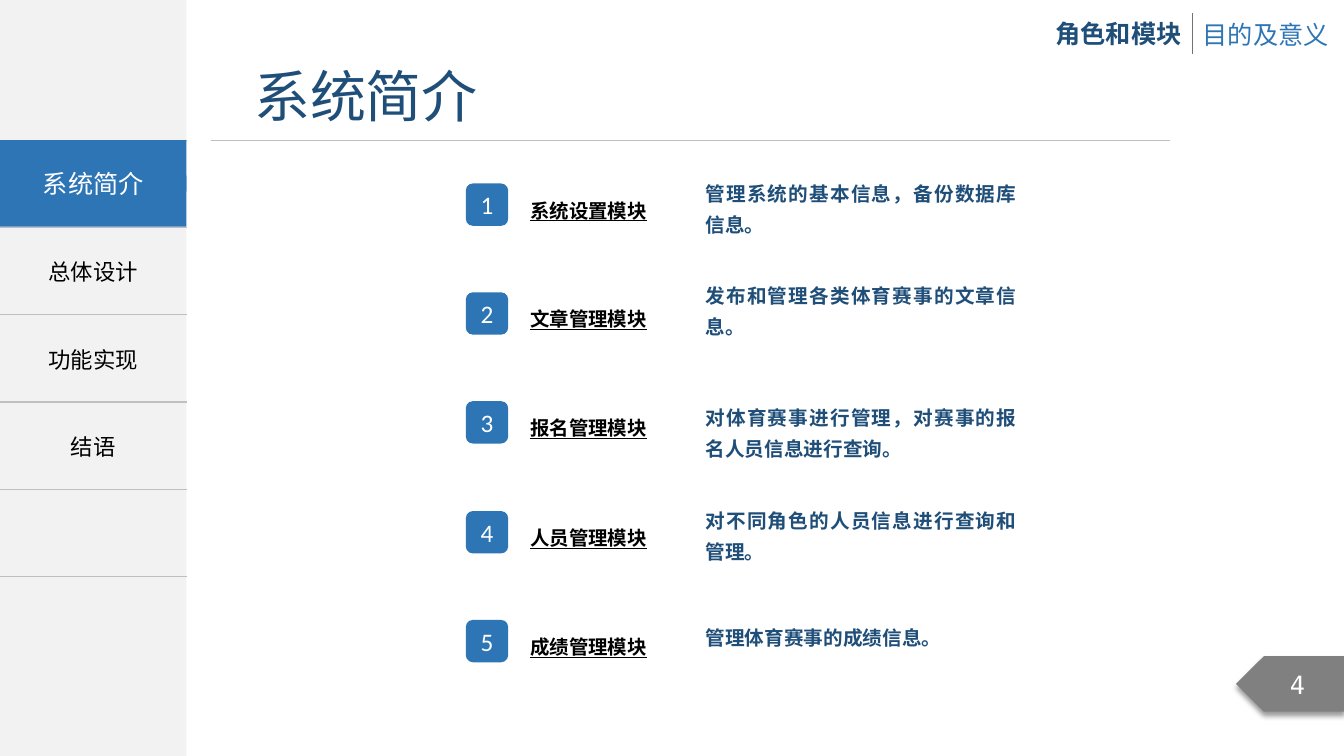
from lxml.etree import SubElement
from pptx import Presentation
from pptx.dml.color import RGBColor
from pptx.enum.shapes import MSO_CONNECTOR, MSO_SHAPE as SHAPE
from pptx.enum.text import MSO_ANCHOR as ANCHOR, MSO_AUTO_SIZE as AUTO, PP_ALIGN as ALIGN
from pptx.oxml import parse_xml
from pptx.oxml.ns import nsdecls, qn
from pptx.util import Pt

PX = 9144  # 100 px to the inch
CJK = "Noto Sans CJK SC"
NAVY = RGBColor(0x1F, 0x4E, 0x79)
BLUE = RGBColor(0x2E, 0x75, 0xB6)
PALE = RGBColor(0xF2, 0xF2, 0xF2)
GRAY = RGBColor(0x80, 0x80, 0x80)
DARK_GRAY = RGBColor(0x76, 0x71, 0x71)
SILVER = RGBColor(0xBF, 0xBF, 0xBF)
BLACK = RGBColor(0, 0, 0)
WHITE = RGBColor(255, 255, 255)


def write(tf, text, size, color, align=ALIGN.LEFT, anchor=ANCHOR.TOP, font=CJK, bold=False):
    tf.text = text
    tf.vertical_anchor = anchor
    p = tf.paragraphs[0]
    p.alignment = align
    f = p.font
    f.name, f.size, f.bold, f.color.rgb = font, Pt(size), bold, color
    SubElement(f._element, qn("a:ea"), typeface=font)
    return p


def add_block(kind, x, y, w, h, color):
    sp = s.shapes.add_shape(kind, x * PX, y * PX, w * PX, h * PX)
    sp.shadow.inherit = False
    sp.fill.solid()
    sp.fill.fore_color.rgb = color
    sp.line.fill.background()
    return sp


prs = Presentation()
prs.slide_width, prs.slide_height = 1333 * PX, 750 * PX
s = prs.slides.add_slide(prs.slide_layouts[5])

# Sidebar
add_block(SHAPE.RECTANGLE, 0, 0, 185, 750, PALE)

# Title
title = s.shapes.title
title.left, title.top, title.width, title.height = 242 * PX, 56 * PX, 245 * PX, 77 * PX
write(title.text_frame, "系统简介", 40, NAVY)
title.text_frame.word_wrap = False
title.text_frame.auto_size = AUTO.SHAPE_TO_FIT_TEXT

# Header labels
for text, x, y, color, bold in [("角色和模块", 1037, 13, NAVY, True),
                                ("目的及意义", 1183, 14, BLUE, False)]:
    tf = s.shapes.add_textbox(x * PX, y * PX, 146 * PX, 40 * PX).text_frame
    tf.word_wrap = False
    tf.auto_size = AUTO.SHAPE_TO_FIT_TEXT
    write(tf, text, 18, color, bold=bold)

# Rules under the title and between the header labels
for x1, y1, x2, y2, color in [(209, 139, 1160, 139, SILVER),
                              (1183, 13, 1183, 54, DARK_GRAY)]:
    rule = s.shapes.add_connector(MSO_CONNECTOR.STRAIGHT, x1 * PX, y1 * PX, x2 * PX, y2 * PX)
    rule.line.color.rgb = color
    rule.line.width = Pt(0.5)
    SubElement(rule._element.spPr, qn("a:effectLst"))

# Page number tag
tag = add_block(SHAPE.PENTAGON, 1226, 651, 108, 55, GRAY)
tag._element.spPr.xfrm.set("flipH", "1")
effects = tag._element.spPr.find(qn("a:effectLst"))
effects.append(parse_xml(
    f'<a:outerShdw {nsdecls("a")} blurRad="{Pt(4)}" dist="{Pt(3)}" dir="5400000" '
    'algn="t" rotWithShape="0"><a:srgbClr val="000000"><a:alpha val="40000"/>'
    '</a:srgbClr></a:outerShdw>'))
write(tag.text_frame, "4", 18, WHITE, ALIGN.CENTER, ANCHOR.MIDDLE, "DejaVu Sans Mono")

# Navigation table
sections = ["", "总体设计", "功能实现", "结语", ""]
table = s.shapes.add_table(len(sections), 1, 0, 139 * PX, 185 * PX, 433 * PX).table
table.first_row = table.horz_banding = False
style = table._tbl.tblPr.find(qn("a:tableStyleId"))
style.text = "{2D5ABB26-0587-4C30-8999-92F81FD0307C}"  # no style, no grid
for row, section in enumerate(sections):
    cell = table.cell(row, 0)
    cell.fill.background()
    cell.vertical_anchor = ANCHOR.MIDDLE
    if section:
        write(cell.text_frame, section, 16, BLACK, ALIGN.CENTER, ANCHOR.MIDDLE)
    for i, edge in enumerate(["lnT", "lnB"]):
        cell._tc.tcPr.insert(i, parse_xml(
            f'<a:{edge} {nsdecls("a")} w="{Pt(1)}"><a:solidFill>'
            f'<a:srgbClr val="{SILVER}"/></a:solidFill></a:{edge}>'))

# Current section
current = add_block(SHAPE.RECTANGLE, 0, 139, 185, 86, BLUE)
write(current.text_frame, "系统简介", 18, WHITE, ALIGN.CENTER, ANCHOR.MIDDLE)
pointer = add_block(SHAPE.ISOSCELES_TRIANGLE, 169, 174, 16, 16, BLUE)
pointer.rotation = 270

# Modules: name, description, top and height of the description
modules = [
    ("系统设置模块", "管理系统的基本信息，备份数据库信息。", 170, 67),
    ("文章管理模块", "发布和管理各类体育赛事的文章信息。", 271, 67),
    ("报名管理模块", "对体育赛事进行管理，对赛事的报名人员信息进行查询。", 392, 67),
    ("人员管理模块", "对不同角色的人员信息进行查询和管理。", 494, 67),
    ("成绩管理模块", "管理体育赛事的成绩信息。", 610, 37),
]
for i, (name, description, top, height) in enumerate(modules):
    y = 182 + round(i * 108.25)
    badge = add_block(SHAPE.ROUNDED_RECTANGLE, 462, y, 42, 42, BLUE)
    write(badge.text_frame, str(i + 1), 18, WHITE, ALIGN.CENTER, ANCHOR.MIDDLE, "Calibri")

    label = s.shapes.add_textbox(516 * PX, y * PX, 174 * PX, 27 * PX).text_frame
    label.word_wrap = True
    label.margin_top = label.margin_bottom = 0
    p = write(label, name, 24, BLACK, bold=True)
    p.font.underline = True
    p.font._element.set("baseline", "-3000")

    body = s.shapes.add_textbox(690 * PX, top * PX, 328 * PX, height * PX).text_frame
    body.word_wrap = True
    body.margin_top = body.margin_bottom = 4 * PX
    p = write(body, description, 14, NAVY, ALIGN.JUSTIFY, bold=True)
    p.line_spacing = 1.3

prs.save("out.pptx")
